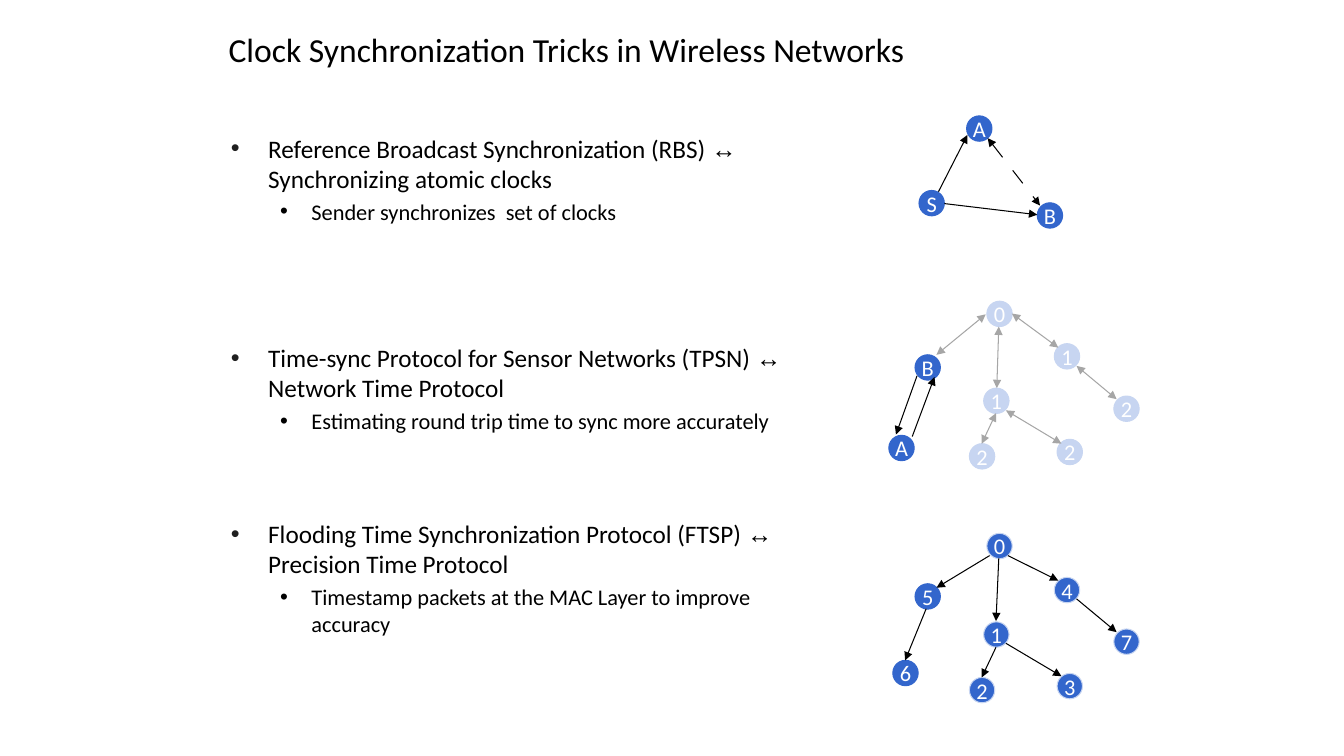
from lxml.etree import SubElement
from pptx import Presentation
from pptx.dml.color import RGBColor
from pptx.enum.shapes import MSO_CONNECTOR, MSO_SHAPE
from pptx.enum.text import MSO_ANCHOR, PP_ALIGN
from pptx.oxml.ns import qn
from pptx.util import Cm, Pt

BLACK = RGBColor(0x00, 0x00, 0x00)
WHITE = RGBColor(0xFF, 0xFF, 0xFF)
BLUE = RGBColor(0x33, 0x66, 0xCC)
PALE_BLUE = RGBColor(0xC7, 0xD5, 0xF1)
GREY = RGBColor(0xA6, 0xA6, 0xA6)
BULLET_GREY = RGBColor(0x20, 0x20, 0x20)

NODE_SIZE = 0.64
LINE_WIDTH = Pt(0.75)

# Protocol, its classic counterpart, the idea behind it, space before in points
PROTOCOLS = [
    ("Reference Broadcast Synchronization (RBS) ", "Synchronizing atomic clocks",
     "Sender synchronizes  set of clocks", 0),
    ("Time-sync Protocol for Sensor Networks (TPSN) ", "Network Time Protocol",
     "Estimating round trip time to sync more accurately", 84),
    ("Flooding Time Synchronization Protocol (FTSP) ", "Precision Time Protocol",
     "Timestamp packets at the MAC Layer to improve accuracy", 60),
]

# Nodes: label, left, top. Arrows: from x, from y, to x, to y. All in centimetres.
RBS_NODES = [("A", 24.36, 2.92), ("B", 26.14, 5.11), ("S", 23.16, 4.8)]
RBS_BROADCASTS = [(23.65, 4.83, 24.38, 3.4), (23.8, 5.13, 26.14, 5.41)]
RBS_EXCHANGE = (24.89, 3.48, 26.21, 5.18)

TPSN_PAIR = [("A", 22.4, 10.97), ("B", 23.06, 8.94)]
TPSN_ROUND_TRIP = [(23.11, 9.47, 22.58, 10.95), (22.99, 11, 23.55, 9.5)]
TPSN_OTHER_NODES = [
    ("0", 24.87, 7.59), ("1", 26.57, 8.66), ("1", 24.79, 9.78),
    ("2", 24.43, 11.18), ("2", 26.64, 11.07), ("2", 28.07, 9.98),
]
TPSN_OTHER_LINKS = [
    (23.6, 8.94, 24.84, 7.92), (25.5, 7.9, 26.67, 8.76),
    (25.17, 8.23, 25.12, 9.78), (25.1, 10.41, 24.74, 11.18),
    (25.35, 10.34, 26.75, 11.18), (27.13, 9.22, 28.14, 10.06),
]

FTSP_LEFT_BRANCH = [("5", 23.06, 14.71), ("6", 22.5, 16.64)]
FTSP_RIMMED_NODES = [
    ("0", 24.87, 13.44), ("1", 24.79, 15.67), ("2", 24.43, 17.07),
    ("3", 26.64, 16.97), ("4", 26.57, 14.55), ("7", 28.07, 15.85),
]
FTSP_FLOOD = [
    (24.94, 14, 23.6, 14.81), (23.34, 15.34, 22.81, 16.64),
    (25.1, 16.31, 24.74, 17.07), (25.17, 14.07, 25.1, 15.65),
    (25.4, 14, 26.67, 14.63), (27.13, 15.09, 28.14, 15.93),
    (25.35, 16.21, 26.75, 17.04),
]


def add_run(paragraph, text, size, color=BLACK, font="Calibri"):
    run = paragraph.add_run()
    run.text = text
    run.font.size = Pt(size)
    run.font.name = font
    run.font.color.rgb = color


def set_bullet(paragraph, margin, hanging, color):
    properties = paragraph._p.get_or_add_pPr()
    properties.set("marL", str(Cm(margin)))
    properties.set("indent", str(-Cm(hanging)))
    bullet_color = SubElement(properties, qn("a:buClr"))
    SubElement(bullet_color, qn("a:srgbClr"), val=str(color))
    SubElement(properties, qn("a:buFont"), typeface="Arial")
    SubElement(properties, qn("a:buChar"), char="•")


def add_text_frame(slide, left, top, width, height):
    box = slide.shapes.add_textbox(Cm(left), Cm(top), Cm(width), Cm(height))
    box.text_frame.word_wrap = True
    return box.text_frame


def add_title(slide, text):
    frame = add_text_frame(slide, 5.51, 0.56, 22.86, 1.35)
    frame.vertical_anchor = MSO_ANCHOR.MIDDLE
    add_run(frame.paragraphs[0], text, 24)


def add_protocol_list(slide):
    frame = add_text_frame(slide, 5.54, 2.31, 15.34, 14.81)
    frame.margin_top = Cm(1.04)
    for index, (protocol, counterpart, idea, space) in enumerate(PROTOCOLS):
        heading = frame.add_paragraph() if index else frame.paragraphs[0]
        set_bullet(heading, 0.97, 0.94, BULLET_GREY)
        heading.space_before = Pt(space)
        add_run(heading, protocol, 18)
        add_run(heading, "↔ ", 18, font="Arial")
        add_run(heading, counterpart, 18)

        detail = frame.add_paragraph()
        detail.level = 1
        set_bullet(detail, 2.06, 0.79, BLACK)
        detail.space_before = Pt(3.2)
        add_run(detail, idea, 16)


def add_nodes(slide, nodes, fill=BLUE, rim=BLUE):
    for label, left, top in nodes:
        shape = slide.shapes.add_shape(
            MSO_SHAPE.OVAL, Cm(left), Cm(top), Cm(NODE_SIZE), Cm(NODE_SIZE))
        shape.shadow.inherit = False
        shape.fill.solid()
        shape.fill.fore_color.rgb = fill
        shape.line.color.rgb = rim
        shape.line.width = LINE_WIDTH
        frame = shape.text_frame
        frame.word_wrap = False
        frame.vertical_anchor = MSO_ANCHOR.MIDDLE
        paragraph = frame.paragraphs[0]
        paragraph.alignment = PP_ALIGN.CENTER
        add_run(paragraph, label, 16, WHITE)


def add_arrows(slide, arrows, color=BLACK, both_ends=False, dashed=False):
    for ends in arrows:
        connector = slide.shapes.add_connector(
            MSO_CONNECTOR.STRAIGHT, *(Cm(value) for value in ends))
        connector.line.color.rgb = color
        connector.line.width = LINE_WIDTH
        line = connector.line._get_or_add_ln()
        if dashed:
            dashes = SubElement(line, qn("a:custDash"))
            SubElement(dashes, qn("a:ds"), d="1600000", sp="1600000")
        if both_ends:
            SubElement(line, qn("a:headEnd"), type="triangle")
        SubElement(line, qn("a:tailEnd"), type="triangle")
        SubElement(connector._element.spPr, qn("a:effectLst"))


def add_rbs_diagram(slide):
    add_nodes(slide, RBS_NODES)
    add_arrows(slide, RBS_BROADCASTS)
    add_arrows(slide, [RBS_EXCHANGE], both_ends=True, dashed=True)


def add_tpsn_diagram(slide):
    add_nodes(slide, TPSN_OTHER_NODES, PALE_BLUE, PALE_BLUE)
    add_nodes(slide, TPSN_PAIR)
    add_arrows(slide, TPSN_OTHER_LINKS, GREY, both_ends=True)
    add_arrows(slide, TPSN_ROUND_TRIP)


def add_ftsp_diagram(slide):
    add_nodes(slide, FTSP_RIMMED_NODES, rim=PALE_BLUE)
    add_nodes(slide, FTSP_LEFT_BRANCH)
    add_arrows(slide, FTSP_FLOOD)


def main():
    presentation = Presentation()
    presentation.slide_width = Cm(33.87)
    presentation.slide_height = Cm(19.05)
    slide = presentation.slides.add_slide(presentation.slide_layouts[6])
    add_protocol_list(slide)
    add_title(slide, "Clock Synchronization Tricks in Wireless Networks")
    add_tpsn_diagram(slide)
    add_rbs_diagram(slide)
    add_ftsp_diagram(slide)
    presentation.save("out.pptx")


if __name__ == "__main__":
    main()
